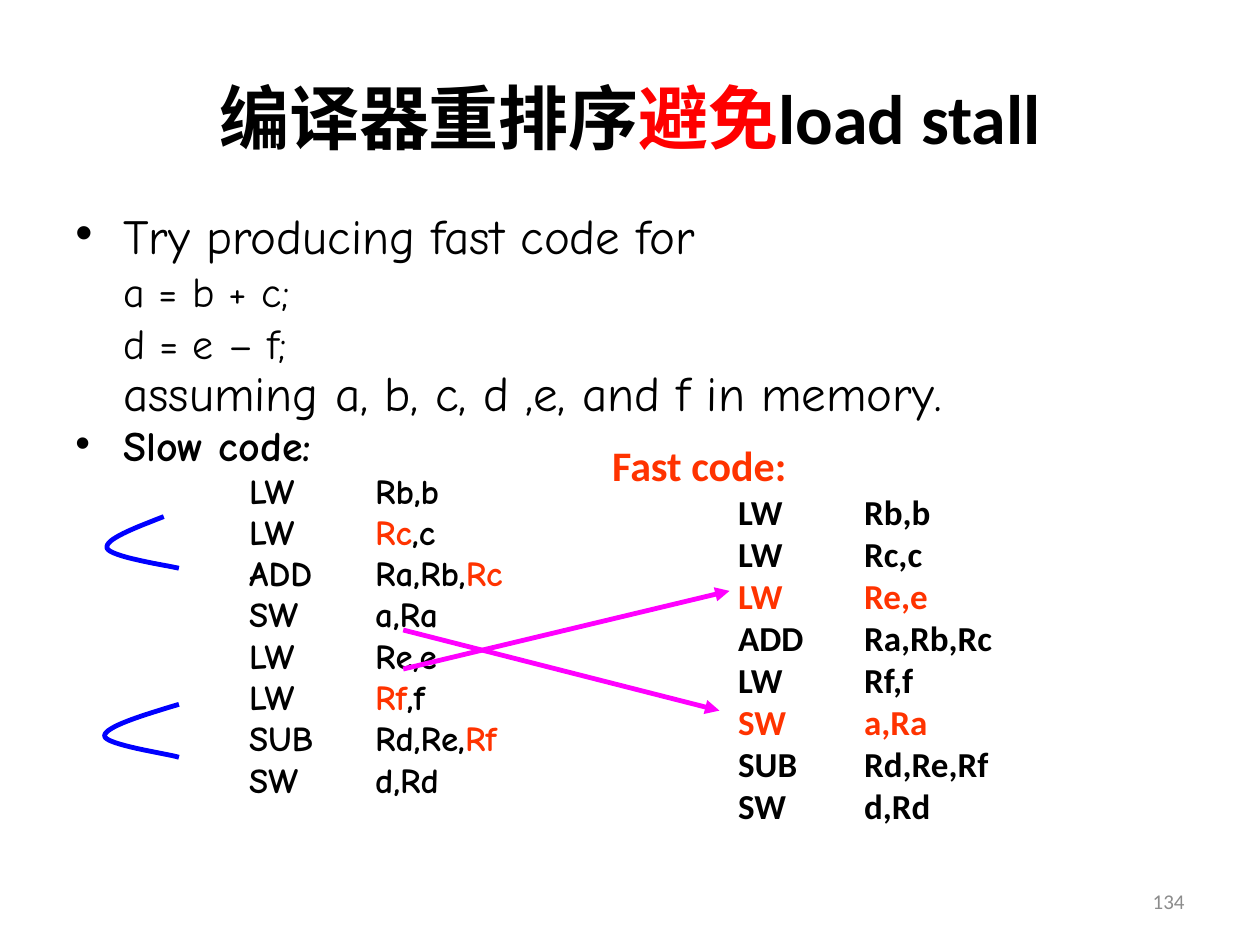
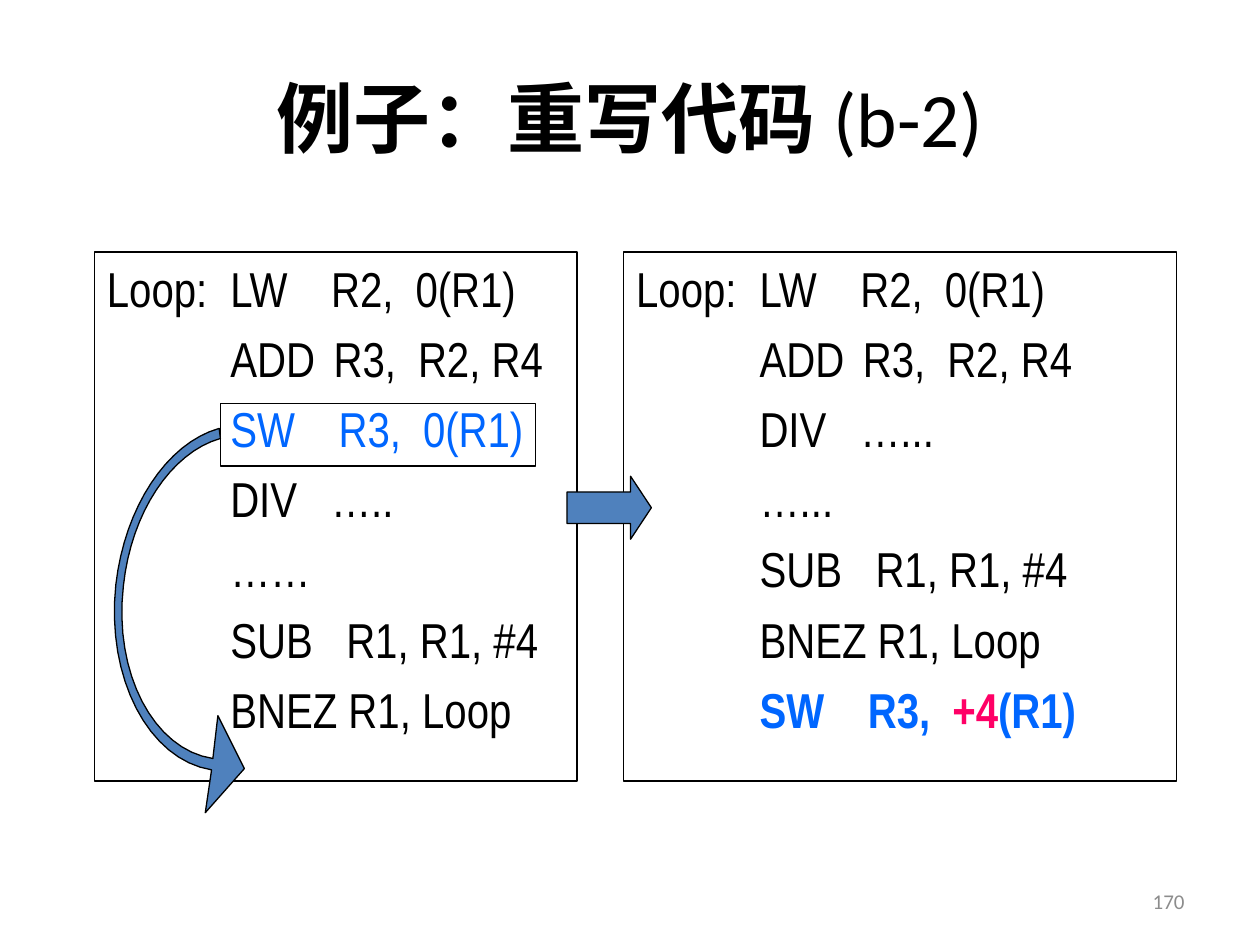
"""Build two slides on reordering code around load stalls and branches."""
from dataclasses import dataclass
from itertools import cycle

from lxml import etree
from pptx import Presentation
from pptx import util as u
from pptx.dml.color import RGBColor
from pptx.enum import shapes, text
from pptx.oxml import ns


@dataclass(frozen=True)
class Theme:
    black: str = "000000"
    red: str = "FF0000"
    orange: str = "FF3300"
    magenta: str = "FF00FF"
    curve: str = "0000FF"
    moved: str = "0066FF"
    offset: str = "FF0066"
    arrow: str = "4F81BD"
    grey: str = "8C8C8C"
    sans: str = "Calibri"
    hand: str = "Comic Neue"
    narrow: str = "Arial Narrow"
    small: int = 12
    code: int = 20
    label: int = 24
    body: int = 28
    thin: float = 0.75
    thick: float = 2.75


theme = Theme()
UNIT = u.Inches(0.25)
COLUMNS, ROWS = 40, 30
STEPS = 16


def write(box, lines, anchor=text.MSO_ANCHOR.TOP):
    """Fill a box with lines given as (wording, colours, formats)."""
    frame = box.text_frame
    for name, value in {"word_wrap": True, "vertical_anchor": anchor}.items():
        setattr(frame, name, value)
    for number, (wording, colours, formats) in enumerate(lines):
        para = frame.paragraphs[0] if number == 0 else frame.add_paragraph()
        props = para._p.get_or_add_pPr()
        if formats.get("bullet"):
            props.set("marL", str(u.Inches(0.38)))
            props.set("indent", str(-u.Inches(0.38)))
            etree.SubElement(props, ns.qn("a:buFont"), typeface="Arial")
            etree.SubElement(props, ns.qn("a:buChar"), char="•")
        if formats.get("stops"):
            tabs = etree.SubElement(props, ns.qn("a:tabLst"))
            for stop in formats["stops"]:
                etree.SubElement(tabs, ns.qn("a:tab"), pos=str(u.Inches(stop)), algn="l")
        settings = {
            "alignment": formats.get("align", text.PP_ALIGN.LEFT),
            "line_spacing": formats.get("leading"),
            "space_before": u.Pt(formats.get("before", 0) if number else 0),
        }
        for name, value in settings.items():
            setattr(para, name, value)
        weights = cycle(formats.get("bold", [False]))
        for piece, colour, bold in zip(wording.split("|"), cycle(colours), weights):
            if not piece:
                continue
            span = para.add_run()
            span.text = piece
            look = {"name": formats["font"], "size": u.Pt(formats["size"]), "bold": bold}
            for name, value in look.items():
                setattr(span.font, name, value)
            span.font.color.rgb = RGBColor.from_string(colour)


def trace(page, start, parts, colour, width, fill=None):
    """Draw an outline from grid points; a part of three points is a curve."""
    points, last = [], start
    for part in parts:
        if len(part) == 1:
            points.append(part[0])
        else:
            for step in range(1, STEPS + 1):
                t = step / STEPS
                weights = ((1 - t) ** 3, 3 * t * (1 - t) ** 2, 3 * t * t * (1 - t), t ** 3)
                knots = (last, *part)
                points.append(tuple(sum(w * k[axis] for w, k in zip(weights, knots))
                                    for axis in (0, 1)))
        last = part[-1]
    builder = page.shapes.build_freeform(start[0] * UNIT, start[1] * UNIT)
    builder.add_line_segments([(x * UNIT, y * UNIT) for x, y in points], close=bool(fill))
    outline = builder.convert_to_shape()
    outline.shadow.inherit = False
    outline.line.color.rgb = RGBColor.from_string(colour)
    outline.line.width = u.Pt(width)
    if fill:
        outline.fill.solid()
        outline.fill.fore_color.rgb = RGBColor.from_string(fill)
    else:
        outline.fill.background()


deck = Presentation()
deck.slide_width, deck.slide_height = COLUMNS * UNIT, ROWS * UNIT
middle = text.MSO_ANCHOR.MIDDLE

headings = [
    ("编译器重排序|避免|load stall", [theme.black, theme.red], 40, [True], "134"),
    ("例子：重写代码| (b-2)", [theme.black], 44, [True, False], "170"),
]
pages = []
for heading, colours, size, bold, number in headings:
    page = deck.slides.add_slide(deck.slide_layouts[6])
    pages.append(page)
    title = page.shapes.add_textbox(*[round(n * UNIT) for n in (2, 1.2, 36, 5)])
    write(title, [(heading, colours, {"font": theme.sans, "size": size, "bold": bold,
                                      "align": text.PP_ALIGN.CENTER})], middle)
    footer = page.shapes.add_textbox(*[round(n * UNIT) for n in (28.68, 27.8, 9.32, 1.6)])
    write(footer, [(number, [theme.grey], {"font": theme.sans, "size": theme.small,
                                           "align": text.PP_ALIGN.RIGHT})], middle)
stall_page, loop_page = pages

prose = {"font": theme.hand, "size": theme.body, "leading": 0.6, "before": 9.7,
         "stops": [0.38]}
formula = {**prose, "size": theme.label, "leading": 0.7}
slow_title = {**formula, "before": 8.3, "bullet": True, "bold": [True]}
slow_row = {**formula, "size": theme.code, "before": 6.8, "stops": [1.38, 2.38],
            "bold": [True]}
slow_code = ["LW\tRb,b", "LW\t|Rc|,c", "ADD\tRa,Rb,|Rc", "SW\ta,Ra",
             "LW\tRe,e", "LW\t|Rf|,f", "SUB\tRd,Re,|Rf", "SW\td,Rd"]
marked = [theme.black, theme.orange]
slow_lines = [
    ("Try producing fast code for", marked, {**prose, "bullet": True, "stops": None}),
    ("\ta = b + c;", marked, formula),
    ("\td = e – f;", marked, formula),
    ("\tassuming a, b, c, d ,e, and f in memory.", marked, prose),
    ("Slow code:", marked, {**slow_title, "stops": None}),
] + [("\t" + row, marked, slow_row) for row in slow_code]
slow_box = stall_page.shapes.add_textbox(*[round(n * UNIT) for n in (2, 7, 36, 19.8)])
write(slow_box, slow_lines)

fast_row = {"font": theme.sans, "size": theme.code, "bold": [True], "stops": [1, 2]}
fast_code = ["LW\tRb,b", "LW\tRc,c", "|LW\tRe,e", "ADD\tRa,Rb,Rc",
             "LW\tRf,f", "|SW\ta,Ra", "SUB\tRd,Re,Rf", "SW\td,Rd"]
fast_lines = [("Fast code:", [theme.orange], {**fast_row, "size": theme.label})]
for row in fast_code:
    fast_lines.append(("\t" + row, marked, fast_row))
fast_box = stall_page.shapes.add_textbox(*[round(n * UNIT) for n in (19.04, 13.76, 17.68, 13.24)])
write(fast_box, fast_lines)

for ends in [(12.8, 21.24, 23.16, 18.76), (12.8, 20, 22.84, 22.56)]:
    move = stall_page.shapes.add_connector(shapes.MSO_CONNECTOR.STRAIGHT,
                                           *[round(n * UNIT) for n in ends])
    move.line.color.rgb = RGBColor.from_string(theme.magenta)
    move.line.width = u.Pt(theme.thick)
    etree.SubElement(move.line._get_or_add_ln(), ns.qn("a:tailEnd"), type="triangle")
    etree.SubElement(move._element.spPr, ns.qn("a:effectLst"))

stall_curves = [
    ((5.2, 16.4), [((4.28, 16.76), (3.32, 17.12), (3.4, 17.4)),
                   ((3.48, 17.68), (5.36, 17.96), (5.68, 18.04))]),
    ((5.68, 22.36), [((4.48, 22.72), (3.32, 23.08), (3.32, 23.36)),
                     ((3.32, 23.64), (5.28, 23.92), (5.68, 24.04))]),
]
for start, parts in stall_curves:
    trace(stall_page, start, parts, theme.curve, theme.thick)

operand_stop = {"LW": 1.78, "ADD": 1.8, "SW": 1.84, "DIV": 1.78, "SUB": 1.9}
first_rows = ["Loop:\tLW\tR2,\t0(R1)", "\tADD\tR3,\tR2, R4"]
last_rows = ["\tSUB\tR1, R1, #4", "\tBNEZ R1, Loop"]
listings = [
    (3, 15.32, first_rows + ["\t|SW\tR3,\t0(R1)", "\tDIV\t…..", "\t……"] + last_rows),
    (19.8, 17.56, first_rows + ["\tDIV\t…...", "\t…..."] + last_rows
     + ["\t|SW\tR3,\t|+4|(R1)"]),
]
panels = [(left, 8, width, 16.8, shapes.MSO_SHAPE.RECTANGLE, None, rows)
          for left, width, rows in listings]
panels += [(18, 15.12, 2.68, 2, shapes.MSO_SHAPE.RIGHT_ARROW, theme.arrow, []),
           (7, 12.8, 10, 2, shapes.MSO_SHAPE.RECTANGLE, None, [])]
for left, top, width, height, kind, fill, rows in panels:
    panel = loop_page.shapes.add_shape(
        kind, *[round(n * UNIT) for n in (left, top, width, height)])
    panel.shadow.inherit = False
    panel.line.color.rgb = RGBColor.from_string(theme.black)
    panel.line.width = u.Pt(theme.thin)
    if fill:
        panel.fill.solid()
        panel.fill.fore_color.rgb = RGBColor.from_string(fill)
        panel.adjustments[1] = 0.33
    else:
        panel.fill.background()
    lines = []
    for row in rows:
        stop = operand_stop.get(row.split("\t")[1].strip("|"), 1.8)
        lines.append((row, [theme.black, theme.moved, theme.offset, theme.moved],
                      {"font": theme.narrow, "size": theme.body, "before": 6.5,
                       "stops": [0.98, stop, stop + 0.67], "bold": ["+4" in row]}))
    if lines:
        write(panel, lines)

trace(loop_page, (6.76, 24.08), [
    ((4.88, 23.8), (3.6, 21.36), (3.92, 18.6)),
    ((4.16, 16.28), (5.44, 14.36), (7, 13.92)),
    ((6.96, 13.6),),
    ((5.28, 14.08), (3.96, 16.12), (3.68, 18.56)),
    ((3.36, 21.52), (4.72, 24.12), (6.72, 24.44)),
    ((6.52, 25.8),), ((7.76, 24.4),), ((6.92, 22.72),),
], theme.black, theme.thin, theme.arrow)

deck.save("out.pptx")
